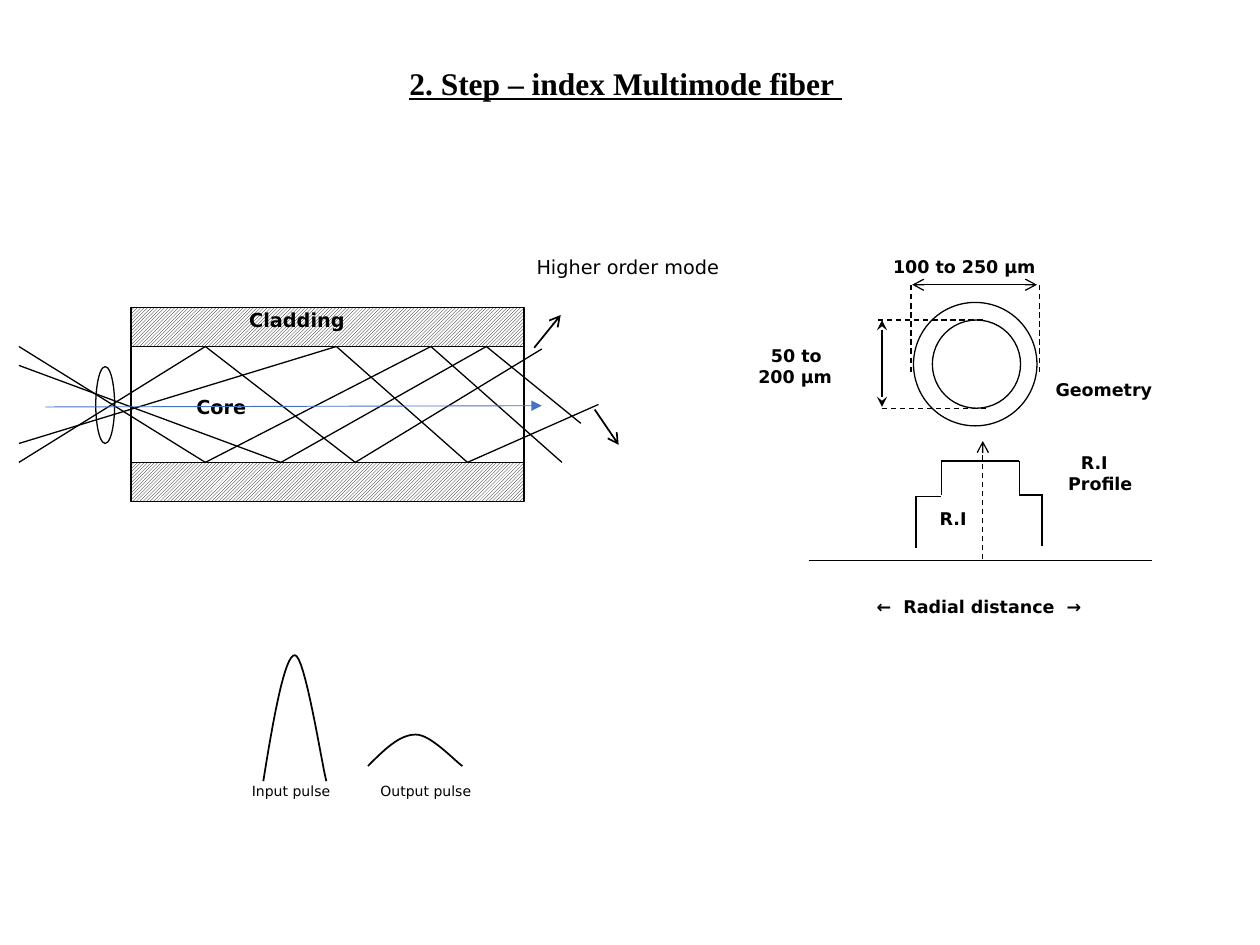
from dataclasses import dataclass
from itertools import pairwise

from lxml import etree
from pptx import Presentation
from pptx.dml.color import RGBColor
from pptx.enum.dml import MSO_LINE_DASH_STYLE, MSO_PATTERN_TYPE
from pptx.enum.shapes import MSO_CONNECTOR, MSO_SHAPE
from pptx.enum.text import MSO_ANCHOR, MSO_AUTO_SIZE, PP_ALIGN
from pptx.oxml.ns import qn
from pptx.util import Inches, Pt

STRAIGHT = MSO_CONNECTOR.STRAIGHT
RECTANGLE = MSO_SHAPE.RECTANGLE
ELLIPSE = MSO_SHAPE.OVAL
DASH = MSO_LINE_DASH_STYLE.DASH
HATCH = MSO_PATTERN_TYPE.LIGHT_UPWARD_DIAGONAL
TOP = MSO_ANCHOR.TOP
CENTER = PP_ALIGN.CENTER
NO_AUTOFIT = MSO_AUTO_SIZE.NONE


@dataclass(frozen=True)
class Theme:
    ink: RGBColor = RGBColor(0, 0, 0)
    paper: RGBColor = RGBColor(255, 255, 255)
    axis: RGBColor = RGBColor(0x44, 0x72, 0xC4)
    title_font: str = "Times New Roman"
    label_font: str = "DejaVu Sans"
    title_size: int = 18
    fiber_size: int = 11
    profile_size: int = 10
    pulse_size: int = 8
    hairline: float = 0.5
    thin: float = 0.75
    medium: float = 1


THEME = Theme()
FIBER_LEFT, FIBER_RIGHT = 1.04, 4.16
CORE_TOP, CORE_BOTTOM, CLADDING = 2.75, 3.67, 0.31
FIRST_LINE_INDENT = 0.1
CURVE_STEPS = 16


def apply_format(target, values):
    for attribute, value in values.items():
        setattr(target, attribute, value)


def format_font(font, name, size, **emphasis):
    apply_format(font, {"name": name, "size": Pt(size), **emphasis})
    font.color.rgb = THEME.ink


def add_title(slide, wording):
    title = slide.shapes.title
    apply_format(title, {"left": Inches(3.13), "top": Inches(0.46),
                         "width": Inches(3.67), "height": Inches(0.4)})
    apply_format(title.text_frame, {"word_wrap": False, "auto_size": NO_AUTOFIT,
                                    "vertical_anchor": TOP})
    paragraph = title.text_frame.paragraphs[0]
    paragraph.alignment = CENTER
    run = paragraph.add_run()
    run.text = wording
    format_font(run.font, THEME.title_font, THEME.title_size, bold=True, underline=True)


def add_label(slide, wording, left, top, width, height, size, bold=False, indent=0):
    label = slide.shapes.add_textbox(*map(Inches, (left, top, width, height)))
    frame = label.text_frame
    apply_format(frame, {"word_wrap": True, "vertical_anchor": TOP, "text": wording})
    for paragraph in frame.paragraphs:
        format_font(paragraph.runs[0].font, THEME.label_font, size, bold=bold)
    if indent:
        first_line = frame.paragraphs[0]._p.get_or_add_pPr()
        first_line.set("marL", str(Inches(indent)))
        first_line.set("indent", "0")


def format_line(line, color, width):
    line.color.rgb = color
    line.width = Pt(width)


def add_outline(slide, preset, left, top, width, height, hatched=False):
    outline = slide.shapes.add_shape(preset, *map(Inches, (left, top, width, height)))
    outline.shadow.inherit = False
    if hatched:
        outline.fill.patterned()
        apply_format(outline.fill, {"pattern": HATCH})
        outline.fill.fore_color.rgb = THEME.ink
        outline.fill.back_color.rgb = THEME.paper
    else:
        outline.fill.solid()
        outline.fill.fore_color.rgb = THEME.paper
    format_line(outline.line, THEME.ink, THEME.thin)


def add_line(slide, start, end, width=THEME.thin, color=THEME.ink,
             dashed=False, head=None, tail=None):
    line = slide.shapes.add_connector(STRAIGHT, *map(Inches, (*start, *end)))
    format_line(line.line, color, width)
    if dashed:
        line.line.dash_style = DASH
    properties = line._element.spPr
    stroke = properties.find(qn("a:ln"))
    for tag, arrow in (("a:headEnd", head), ("a:tailEnd", tail)):
        if arrow:
            etree.SubElement(stroke, qn(tag)).set("type", arrow)
    etree.SubElement(properties, qn("a:effectLst"))


def add_polyline(slide, points, **style):
    for start, end in pairwise(points):
        add_line(slide, start, end, **style)


def bezier_points(controls):
    for step in range(1, CURVE_STEPS + 1):
        t = step / CURVE_STEPS
        weights = ((1 - t) ** 3, 3 * t * (1 - t) ** 2, 3 * t * t * (1 - t), t ** 3)
        yield tuple(Inches(sum(w * point[axis] for w, point in zip(weights, controls)))
                    for axis in (0, 1))


def add_pulse(slide, controls):
    builder = slide.shapes.build_freeform(*map(Inches, controls[0]))
    for first in (0, 3):
        builder.add_line_segments(bezier_points(controls[first:first + 4]), close=False)
    pulse = builder.convert_to_shape()
    pulse.shadow.inherit = False
    pulse.fill.background()
    format_line(pulse.line, THEME.ink, THEME.medium)


def draw_fiber(slide):
    for top in (CORE_TOP - CLADDING, CORE_BOTTOM):
        add_outline(slide, RECTANGLE, FIBER_LEFT, top,
                    FIBER_RIGHT - FIBER_LEFT, CLADDING, hatched=True)
    add_line(slide, (FIBER_LEFT, CORE_TOP), (FIBER_LEFT, 3.82))
    add_line(slide, (FIBER_RIGHT, 2.68), (FIBER_RIGHT, 3.76))
    add_outline(slide, ELLIPSE, 0.76, 2.91, 0.15, 0.61)
    rays = (
        ((0.15, CORE_BOTTOM), (1.63, CORE_TOP), (2.82, CORE_BOTTOM), (4.3, 2.77)),
        ((0.15, 3.52), (2.67, CORE_TOP), (3.71, CORE_BOTTOM), (4.75, 3.21)),
        ((0.15, CORE_TOP), (1.63, CORE_BOTTOM), (3.42, CORE_TOP), (4.46, CORE_BOTTOM)),
        ((0.15, 2.9), (2.23, CORE_BOTTOM), (3.86, CORE_TOP), (4.61, 3.36)),
    )
    for ray in rays:
        add_polyline(slide, ray)
    size = THEME.fiber_size
    add_label(slide, "Cladding", 1.78, 2.4, 1.6, 0.46, size, True, FIRST_LINE_INDENT)
    add_label(slide, "Core", 1.36, 3.09, 0.74, 0.46, size, True, FIRST_LINE_INDENT)
    add_label(slide, "Higher order mode", 4.16, 1.98, 1.99, 0.45, size)
    for start, end in (((4.24, 2.76), (4.45, 2.5)), ((4.72, 3.25), (4.91, 3.53))):
        add_line(slide, start, end, THEME.medium, tail="arrow")


def draw_geometry(slide):
    add_outline(slide, ELLIPSE, 7.25, 2.4, 0.98, 0.98)
    add_outline(slide, ELLIPSE, 7.4, 2.54, 0.7, 0.7)
    for x in (7.23, 8.25):
        add_line(slide, (x, 2.95), (x, 2.26), dashed=True)
    for left, right, y in ((6.97, 7.82, 2.54), (7, 7.84, 3.24)):
        add_line(slide, (left, y), (right, y), dashed=True)
    add_line(slide, (7.24, 2.26), (8.23, 2.26), head="arrow", tail="arrow")
    add_line(slide, (7, 2.54), (7, 3.23), head="stealth", tail="stealth")


def draw_index_profile(slide):
    add_polyline(slide, ((7.47, 3.93), (7.47, 3.66), (8.09, 3.66), (8.09, 3.93)))
    add_line(slide, (7.27, 3.94), (7.27, 4.35))
    add_line(slide, (8.27, 3.93), (8.27, 4.33))
    add_line(slide, (7.47, 3.94), (7.28, 3.94), THEME.medium)
    add_line(slide, (8.28, 3.93), (8.09, 3.93), THEME.medium)
    add_line(slide, (6.42, 4.45), (9.14, 4.45))
    add_line(slide, (7.8, 4.44), (7.8, 3.5), dashed=True, tail="arrow")


def label_cross_section(slide):
    labels = (
        ("Geometry", 8.18, 2.96, 1.3, FIRST_LINE_INDENT),
        ("←  Radial distance  →", 6.86, 4.68, 2.25, 0),
        ("R.I", 7.36, 3.98, 0.46, 0),
        ("R.I\nProfile", 8.38, 3.54, 0.9, FIRST_LINE_INDENT),
        ("50 to\n200 μm", 5.92, 2.69, 1.19, FIRST_LINE_INDENT),
        ("100 to 250 μm", 6.89, 1.98, 1.6, FIRST_LINE_INDENT),
    )
    for wording, left, top, width, indent in labels:
        add_label(slide, wording, left, top, width, 0.42, THEME.profile_size, True, indent)


def draw_pulses(slide):
    add_pulse(slide, ((2.09, 6.2), (2.17, 5.7), (2.26, 5.2), (2.34, 5.2),
                      (2.42, 5.2), (2.55, 6.04), (2.59, 6.2)))
    add_pulse(slide, ((2.92, 6.08), (3.05, 5.95), (3.17, 5.83), (3.3, 5.83),
                      (3.42, 5.83), (3.61, 6.04), (3.67, 6.08)))
    for wording, left, width in (("Input pulse", 1.9, 0.88), ("Output pulse", 2.92, 1.12)):
        add_label(slide, wording, left, 6.16, width, 0.25, THEME.pulse_size)


def main():
    deck = Presentation()
    apply_format(deck, {"slide_width": Inches(10), "slide_height": Inches(7.5)})
    slide = deck.slides.add_slide(deck.slide_layouts[5])
    add_title(slide, "2. Step – index Multimode fiber ")
    draw_fiber(slide)
    draw_geometry(slide)
    draw_index_profile(slide)
    label_cross_section(slide)
    draw_pulses(slide)
    add_line(slide, (0.36, 3.23), (4.3, 3.22), THEME.hairline, THEME.axis, tail="triangle")
    deck.save("out.pptx")


if __name__ == "__main__":
    main()
